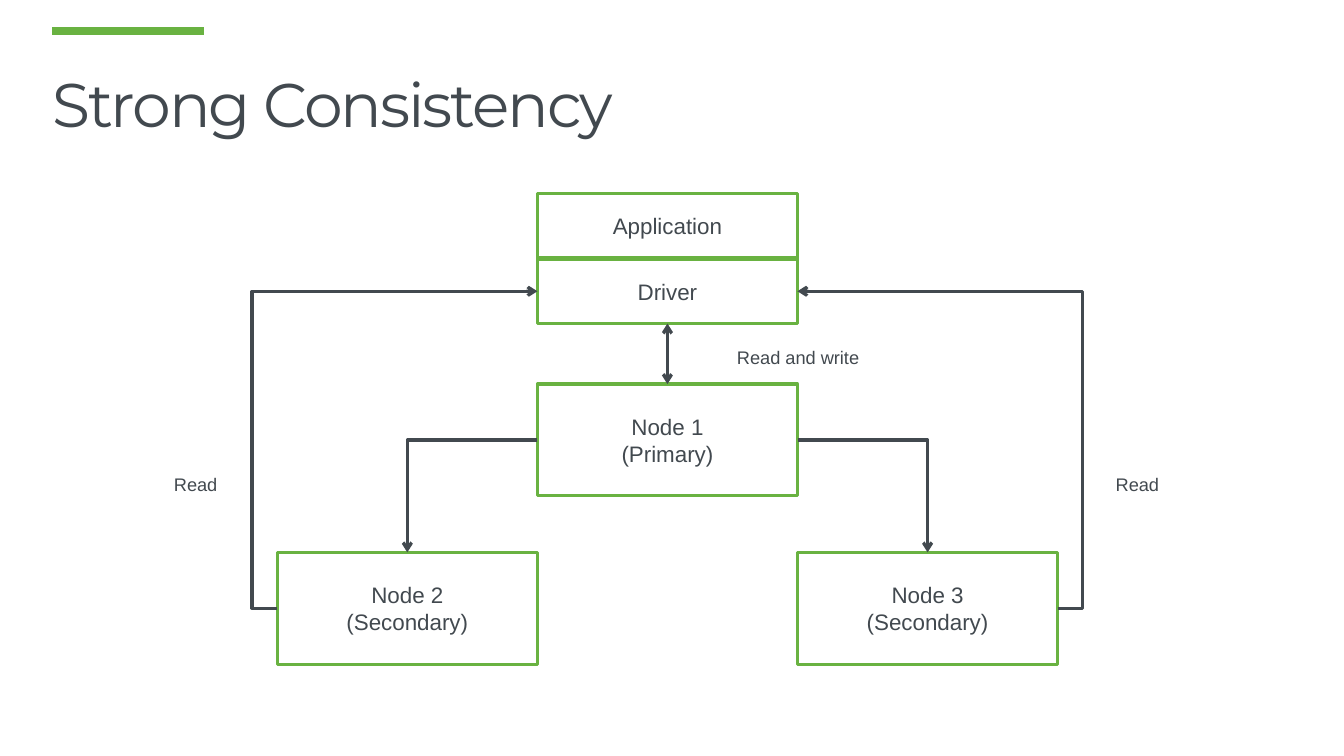
from dataclasses import dataclass

from lxml.etree import SubElement
from pptx import Presentation
from pptx.dml.color import RGBColor
from pptx.enum.shapes import MSO_CONNECTOR as Connectors, MSO_SHAPE as Shapes
from pptx.enum.text import MSO_ANCHOR as Anchor, PP_ALIGN as Align
from pptx.oxml.ns import qn
from pptx.util import Inches, Pt

GREEN, DARK, WHITE = "69B241", "42494F", "FFFFFF"
BOX_WIDTH, NODE_HEIGHT, LAYER_HEIGHT = 2.58, 1.11, 0.64
CENTER_LEFT, NODE_TOP, SECONDARY_TOP = 5.33, 3.81, 5.48
TOP, LEFT, BOTTOM, RIGHT = range(4)  # connection sites of a rectangle


@dataclass
class Box:
    name: str
    lines: list[str]
    left: float
    top: float
    height: float
    fill: str | None = None


@dataclass
class Arrow:
    start: str
    start_site: int
    end: str
    end_site: int
    preset: str
    bend: int | None = None
    two_way: bool = False


@dataclass
class Label:
    text: str
    left: float
    top: float
    width: float


BOXES = [
    Box("node 1", ["Node 1", "(Primary)"], CENTER_LEFT, NODE_TOP, NODE_HEIGHT, WHITE),
    Box("node 2", ["Node 2", "(Secondary)"], CENTER_LEFT - BOX_WIDTH, SECONDARY_TOP,
        NODE_HEIGHT, WHITE),
    Box("node 3", ["Node 3", "(Secondary)"], CENTER_LEFT + BOX_WIDTH, SECONDARY_TOP,
        NODE_HEIGHT, WHITE),
    Box("application", ["Application"], CENTER_LEFT, 1.92, LAYER_HEIGHT),
    Box("driver", ["Driver"], CENTER_LEFT, 2.57, LAYER_HEIGHT),
]
ARROWS = [
    Arrow("node 1", LEFT, "node 2", TOP, "bentConnector2"),
    Arrow("node 1", RIGHT, "node 3", TOP, "bentConnector2"),
    Arrow("node 2", LEFT, "driver", LEFT, "bentConnector3", bend=-9700),
    Arrow("node 3", RIGHT, "driver", RIGHT, "bentConnector3", bend=-9700),
    Arrow("driver", BOTTOM, "node 1", TOP, "line", two_way=True),
]
LABELS = [
    Label("Read", 1.58, 4.63, 0.72),
    Label("Read", 10.92, 4.63, 0.72),
    Label("Read and write", 7.15, 3.37, 1.53),
]


def color(value: str) -> RGBColor:
    return RGBColor.from_string(value)


def add_text(paragraph, text: str, size: float, font: str = "Arial"):
    run = paragraph.add_run()
    run.text = text
    run.font.size = Pt(size)
    run.font.name = font
    run.font.color.rgb = color(DARK)
    return run


def set_margins(frame, side: float, end: float) -> None:
    frame.margin_left = frame.margin_right = Inches(side)
    frame.margin_top = frame.margin_bottom = Inches(end)


def style_line(connector, value: str, width: float) -> None:
    connector.line.color.rgb = color(value)
    connector.line.width = Pt(width)
    SubElement(connector._element.spPr, qn("a:effectLst"))


def draw_box(slide, box: Box):
    shape = slide.shapes.add_shape(Shapes.RECTANGLE, Inches(box.left), Inches(box.top),
                                   Inches(BOX_WIDTH), Inches(box.height))
    shape.shadow.inherit = False
    if box.fill:
        shape.fill.solid()
        shape.fill.fore_color.rgb = color(box.fill)
    else:
        shape.fill.background()
    shape.line.color.rgb = color(GREEN)
    shape.line.width = Pt(2.25)
    frame = shape.text_frame
    frame.word_wrap = True
    frame.vertical_anchor = Anchor.MIDDLE
    set_margins(frame, 0.13, 0.13)
    for index, line in enumerate(box.lines):
        paragraph = frame.add_paragraph() if index else frame.paragraphs[0]
        paragraph.alignment = Align.CENTER
        add_text(paragraph, line, 16)
    return shape


def draw_arrow(slide, arrow: Arrow, shapes: dict) -> None:
    kind = Connectors.STRAIGHT if arrow.preset == "line" else Connectors.ELBOW
    connector = slide.shapes.add_connector(kind, 0, 0, 0, 0)
    connector.begin_connect(shapes[arrow.start], arrow.start_site)
    connector.end_connect(shapes[arrow.end], arrow.end_site)
    geometry = connector._element.spPr.find(qn("a:prstGeom"))
    geometry.set("prst", arrow.preset)
    if arrow.bend is not None:
        SubElement(geometry.find(qn("a:avLst")), qn("a:gd"),
                   name="adj1", fmla=f"val {arrow.bend}")
    style_line(connector, DARK, 2.25)
    line = connector.line._get_or_add_ln()
    for tag in ["a:headEnd", "a:tailEnd"] if arrow.two_way else ["a:tailEnd"]:
        SubElement(line, qn(tag), type="arrow")


def draw_label(slide, label: Label) -> None:
    box = slide.shapes.add_textbox(Inches(label.left), Inches(label.top),
                                   Inches(label.width), Inches(0.36))
    frame = box.text_frame
    frame.word_wrap = False
    set_margins(frame, 0.13, 0.07)
    frame.paragraphs[0].alignment = Align.CENTER
    add_text(frame.paragraphs[0], label.text, 13)


def draw_title(slide) -> None:
    accent = slide.shapes.add_connector(Connectors.STRAIGHT, Inches(0.52), Inches(0.31),
                                        Inches(2.02), Inches(0.31))
    style_line(accent, GREEN, 6)
    title = slide.shapes.add_textbox(Inches(0.42), 0, Inches(11.5), Inches(1.45))
    frame = title.text_frame
    frame.word_wrap = True
    frame.vertical_anchor = Anchor.BOTTOM
    frame.paragraphs[0].line_spacing = 0.9
    run = add_text(frame.paragraphs[0], "Strong Consistency", 44, "Montserrat")
    run.font._element.set("spc", "-150")


def main() -> None:
    presentation = Presentation()
    presentation.slide_width = Inches(13.33)
    presentation.slide_height = Inches(7.5)
    slide = presentation.slides.add_slide(presentation.slide_layouts[6])

    # Title with its accent bar
    draw_title(slide)

    # Boxes, then the arrows joined to them
    shapes = {box.name: draw_box(slide, box) for box in BOXES}
    for arrow in ARROWS:
        draw_arrow(slide, arrow, shapes)

    # Arrow captions
    for label in LABELS:
        draw_label(slide, label)

    presentation.save("out.pptx")


if __name__ == "__main__":
    main()
